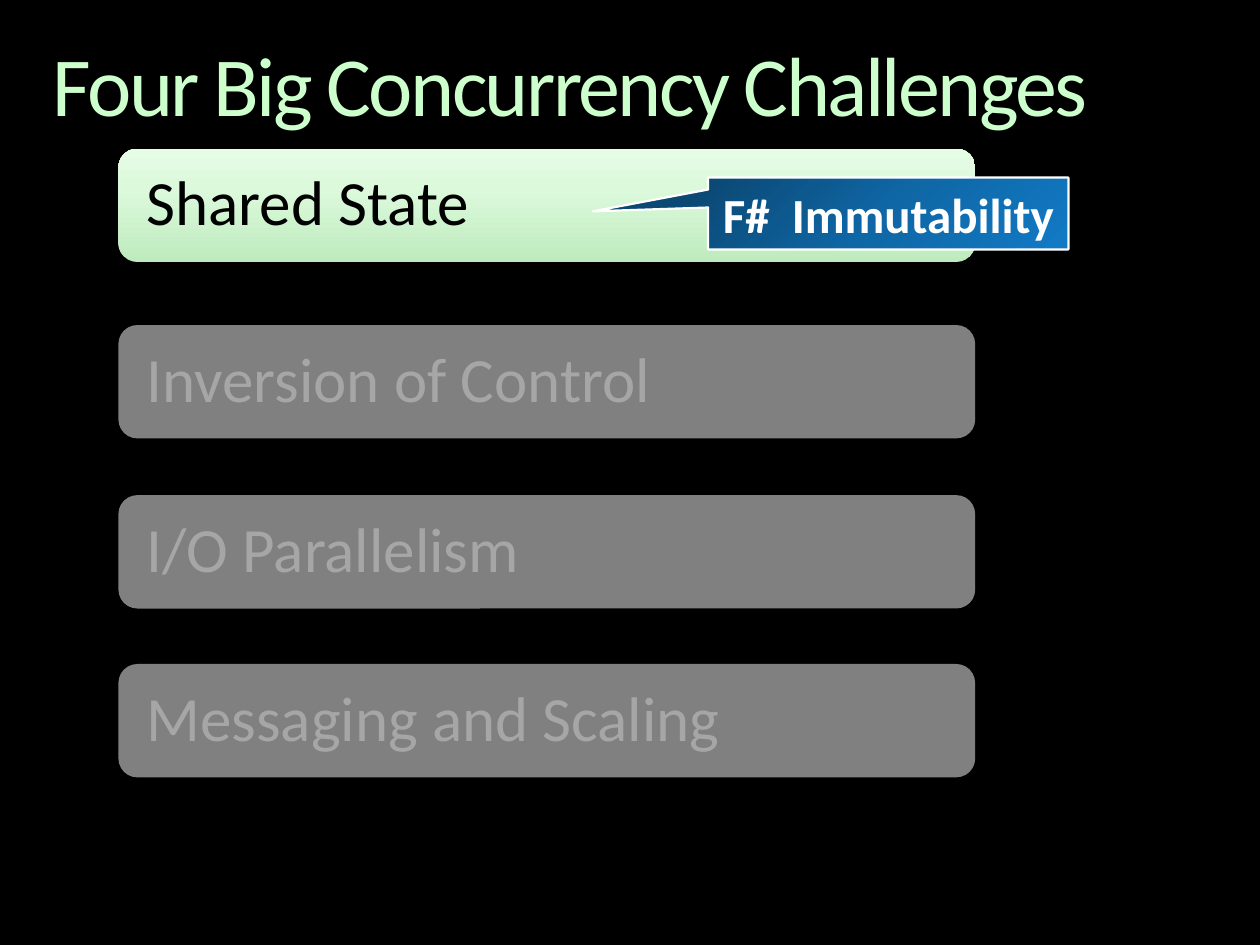
from lxml import etree
from pptx import Presentation
from pptx.dml.color import RGBColor
from pptx.enum import shapes, text
from pptx.oxml.ns import qn
from pptx.util import Inches, Pt

# Content
TITLE = "Four Big Concurrency Challenges"
BARS = [  # wording, top, active
    ("Shared State", 1.18, True),
    ("Inversion of Control", 2.58, False),
    ("I/O Parallelism", 3.93, False),
    ("Messaging and Scaling", 5.27, False),
]
ANSWER = "F#  Immutability"

COLORS = {
    "back": "000000", "title": "CCFFCC", "active": "000000",
    "idle": "A6A6A6", "bar": "808080", "white": "FFFFFF",
}
GREEN = [(0, "BEEBBE"), (65, "DCF9DC"), (100, "E5FCE5")]
BLUE = [(0, "0B4874"), (50, "0F67A6"), (100, "127AC5")]


def color(name):
    return RGBColor.from_string(COLORS[name])


def blend(shape, stops, angle):
    """Fill with a gradient; the angle runs clockwise in degrees."""
    shape.fill.gradient()
    grad = shape._element.spPr.find(qn("a:gradFill"))
    for child in list(grad):
        grad.remove(child)
    group = etree.SubElement(grad, qn("a:gsLst"))
    for pos, tone in stops:
        stop = etree.SubElement(group, qn("a:gs"), pos=str(pos * 1000))
        etree.SubElement(stop, qn("a:srgbClr"), val=tone)
    etree.SubElement(grad, qn("a:lin"), ang=str(angle * 60000), scaled="0")


def write(shape, words, size, tone, inset, anchor, align, space=0.9):
    frame = shape.text_frame
    frame.text = words
    frame.word_wrap = True
    frame.vertical_anchor = anchor
    frame.margin_left = frame.margin_right = Inches(inset[0])
    frame.margin_top = frame.margin_bottom = Inches(inset[1])
    para = frame.paragraphs[0]
    para.alignment = align
    para.line_spacing = space
    font = para.runs[0].font
    font.name, font.size = "Calibri", Pt(size)
    font.color.rgb = color(tone)
    return frame


def add(slide, kind, left, top, width, height):
    shape = slide.shapes.add_shape(
        kind, Inches(left), Inches(top), Inches(width), Inches(height))
    shape.shadow.inherit = False
    return shape


deck = Presentation()
deck.slide_width, deck.slide_height = Inches(10), Inches(7.5)
slide = deck.slides.add_slide(deck.slide_layouts[6])
slide.background.fill.solid()
slide.background.fill.fore_color.rgb = color("back")

# Title
box = slide.shapes.add_textbox(
    Inches(0.42), Inches(0.35), Inches(9.17), Inches(0.61))
frame = write(box, TITLE, 48, "title", (0, 0),
              text.MSO_ANCHOR.TOP, text.PP_ALIGN.LEFT)
frame.paragraphs[0].runs[0].font._element.set("spc", "-150")

# Challenge bars
for words, top, active in BARS:
    bar = add(slide, shapes.MSO_SHAPE.ROUNDED_RECTANGLE, 0.94, top, 6.8, 0.9)
    bar.line.fill.background()
    if active:
        blend(bar, GREEN, 270)
    else:
        bar.fill.solid()
        bar.fill.fore_color.rgb = color("bar")
    write(bar, words, 36, "active" if active else "idle", (0.18, 0.18),
          text.MSO_ANCHOR.MIDDLE, text.PP_ALIGN.LEFT)

# Callout with the answer
note = add(slide, shapes.MSO_SHAPE.RECTANGULAR_CALLOUT, 5.62, 1.41, 2.86, 0.57)
note.adjustments[0], note.adjustments[1] = -0.82, -0.03
blend(note, BLUE, 45)
note.line.color.rgb = color("white")
note.line.width = Pt(1.25)
frame = write(note, ANSWER, 28, "white", (0.1, 0.05),
              text.MSO_ANCHOR.MIDDLE, text.PP_ALIGN.CENTER, 1.0)
frame.word_wrap = False
frame.paragraphs[0].runs[0].font.bold = True

deck.save("out.pptx")
